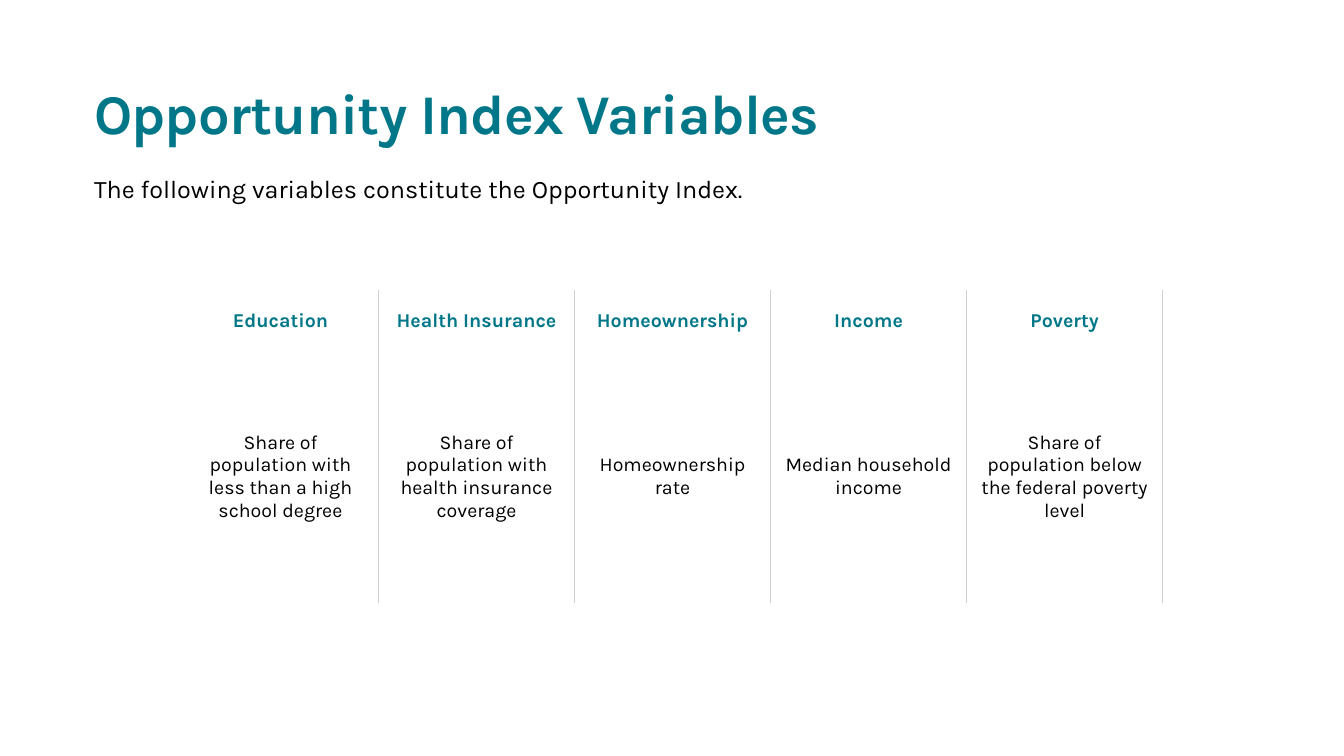
import pptx
import pptx.dml.color
import pptx.enum.text
import pptx.oxml
import pptx.oxml.ns
import pptx.util
from pptx.util import Cm, Pt

TITLE = "Opportunity Index Variables"
INTRO = "The following variables constitute the Opportunity Index."
VARIABLES = [
    ("Education", "Share of population with less than a high school degree"),
    ("Health Insurance", "Share of population with health insurance coverage"),
    ("Homeownership", "Homeownership rate"),
    ("Income", "Median household income"),
    ("Poverty", "Share of population below the federal poverty level"),
]
FONT = "Karla"
TEAL, BLACK, RULE = "007788", "000000", "CFCFCF"
COLUMN_WIDTH = Cm(4.94)
ROW_HEIGHTS = [Cm(1.52), Cm(6.35)]


def color(hex_code):
    return pptx.dml.color.RGBColor.from_string(hex_code)


def style(paragraph, size, hex_code, bold=False):
    font = paragraph.font
    font.name, font.size, font.bold = FONT, Pt(size), bold
    font.color.rgb = color(hex_code)


def add_heading(slide, text, top, height, anchor):
    """Add a full-width text box and return its paragraph."""
    frame = slide.shapes.add_textbox(Cm(2.12), top, Cm(29.63), height).text_frame
    frame.word_wrap = True
    frame.vertical_anchor = anchor
    frame.margin_top = frame.margin_bottom = 0
    paragraph = frame.paragraphs[0]
    paragraph.text = text
    return paragraph


def set_borders(cell, ruled_sides):
    """Draw a thin rule on the given sides and nothing on the others."""
    properties = cell._tc.get_or_add_tcPr()
    for position, side in enumerate("LRTB"):
        paint = "<a:noFill/>"
        if side in ruled_sides:
            paint = f'<a:solidFill><a:srgbClr val="{RULE}"/></a:solidFill>'
        border = pptx.oxml.parse_xml(
            f'<a:ln{side} {pptx.oxml.ns.nsdecls("a")} w="{Pt(0.5)}">{paint}</a:ln{side}>'
        )
        properties.insert(position, border)


def add_variables_table(slide):
    table = slide.shapes.add_table(
        len(ROW_HEIGHTS), len(VARIABLES), Cm(4.6), Cm(7.32),
        COLUMN_WIDTH * len(VARIABLES), sum(ROW_HEIGHTS),
    ).table
    table.first_row = table.horz_banding = False
    for row, height in zip(table.rows, ROW_HEIGHTS):
        row.height = height
    for column, variable in enumerate(VARIABLES):
        table.columns[column].width = COLUMN_WIDTH
        for row, text in enumerate(variable):
            is_header = row == 0
            cell = table.cell(row, column)
            cell.text = text
            cell.vertical_anchor = pptx.enum.text.MSO_ANCHOR.MIDDLE
            cell.fill.background()
            set_borders(cell, "LR" if column else "R")
            paragraph = cell.text_frame.paragraphs[0]
            paragraph.alignment = pptx.enum.text.PP_ALIGN.CENTER
            style(paragraph, 14, TEAL if is_header else BLACK, is_header)


def main():
    deck = pptx.Presentation()
    deck.slide_width, deck.slide_height = Cm(33.87), Cm(19.05)
    slide = deck.slides.add_slide(deck.slide_layouts[6])

    title = add_heading(slide, TITLE, Cm(1.98), Cm(1.7), pptx.enum.text.MSO_ANCHOR.BOTTOM)
    style(title, 40, TEAL, bold=True)
    title.runs[0]._r.get_or_add_rPr().set("spc", "-50")

    intro = add_heading(slide, INTRO, Cm(4.45), Cm(2.11), pptx.enum.text.MSO_ANCHOR.TOP)
    style(intro, 18, BLACK)
    intro.line_spacing = 0.9

    add_variables_table(slide)
    deck.save("out.pptx")


if __name__ == "__main__":
    main()
